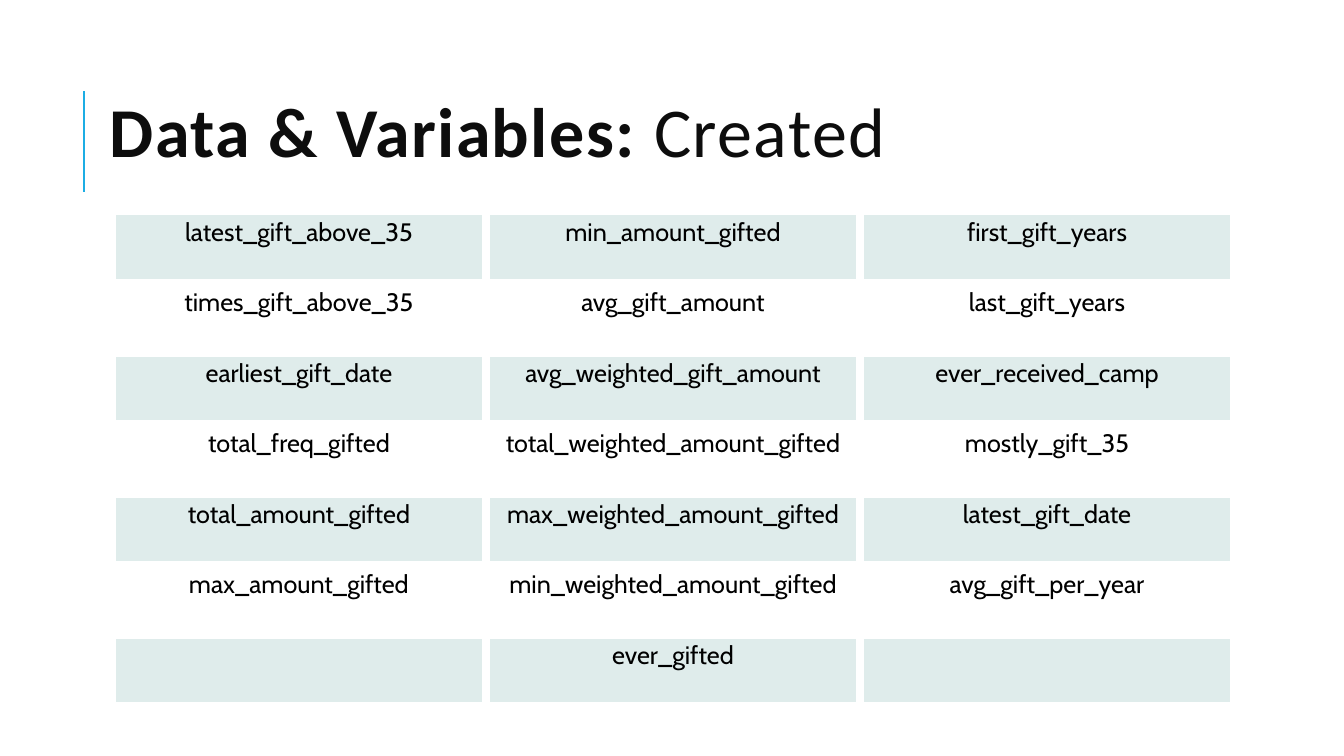
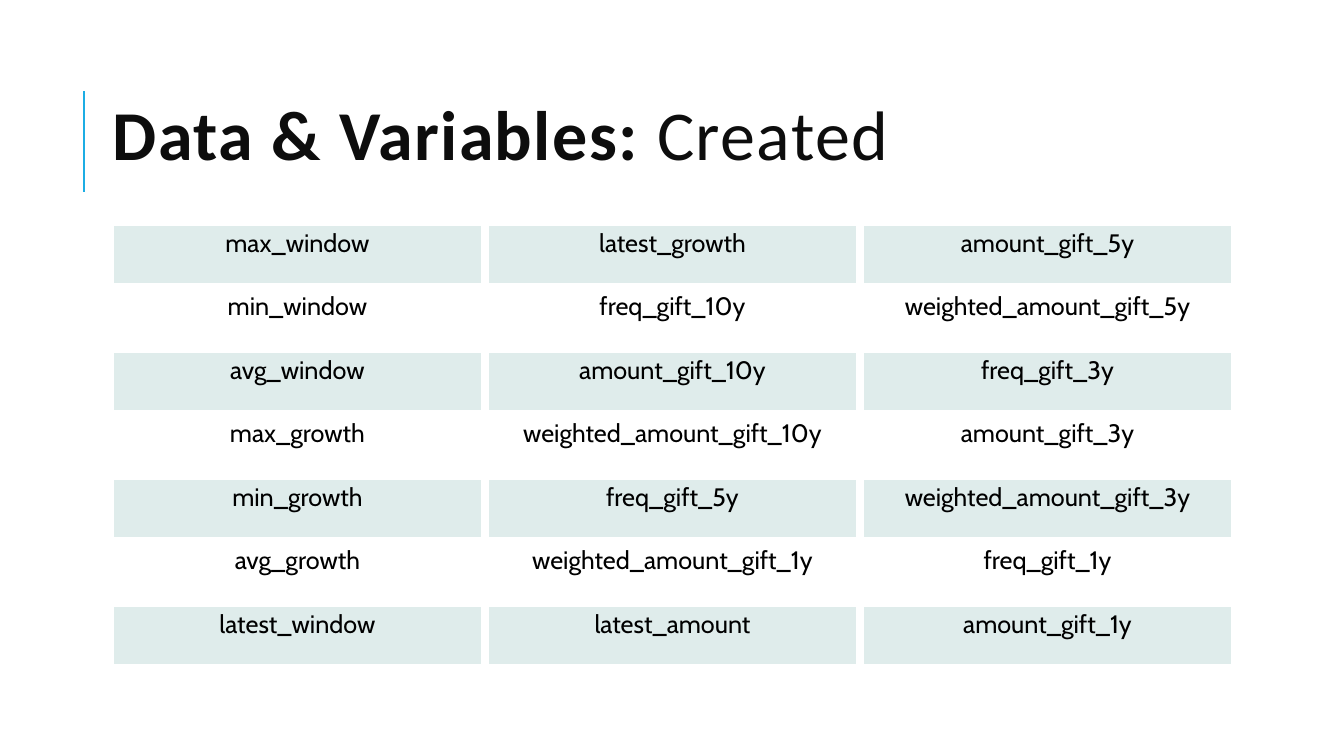
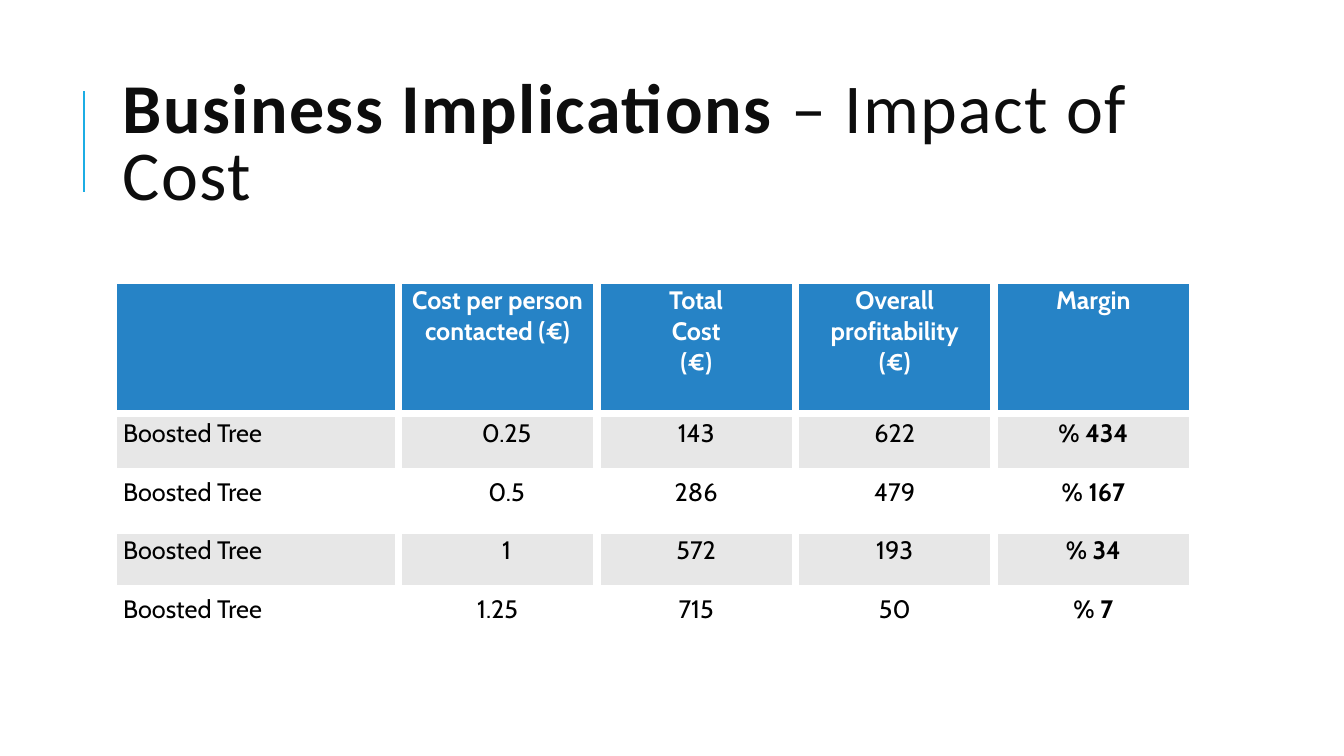
from lxml import etree
from pptx import Presentation
from pptx.dml.color import RGBColor
from pptx.enum import shapes, text
from pptx.oxml import ns
from pptx.util import Inches, Pt

INK = RGBColor(0x0D, 0x0D, 0x0D)
BLACK = RGBColor(0, 0, 0)
WHITE = RGBColor(0xFF, 0xFF, 0xFF)
CYAN = RGBColor(0x1C, 0xAD, 0xE4)
BLUE = RGBColor(0x26, 0x83, 0xC6)
TEAL = RGBColor(0x62, 0xA3, 0x9F)
GREY = RGBColor(0xE7, 0xE7, 0xE7)

deck = Presentation()
deck.slide_width, deck.slide_height = Inches(13.33), Inches(7.5)


def add_page(bold, plain, left, top):
    """Add a slide with the accent rule and a two-weight title."""
    page = deck.slides.add_slide(deck.slide_layouts[6])
    rule = page.shapes.add_connector(
        shapes.MSO_CONNECTOR.STRAIGHT,
        Inches(0.83), Inches(1.9), Inches(0.83), Inches(0.9))
    rule.line.color.rgb = CYAN
    rule.line.width = Pt(1.5)
    etree.SubElement(rule._element.spPr, ns.qn("a:effectLst"))

    box = page.shapes.add_textbox(
        Inches(left), Inches(top), Inches(10.63), Inches(1.64))
    frame = box.text_frame
    frame.word_wrap = True
    frame.vertical_anchor = text.MSO_ANCHOR.MIDDLE
    para = frame.paragraphs[0]
    para.line_spacing = 0.8
    for words, heavy in ((bold, True), (plain, False)):
        run = para.add_run()
        run.text = words
        run.font.name, run.font.size = "Calibri", Pt(50)
        run.font.bold = heavy
        run.font.color.rgb = INK
        run._r.get_or_add_rPr().set("spc", "100")
    return page


def add_grid(page, data, left, top, widths, heights, head):
    """Add a table with thick white borders; head marks a heading row."""
    grid = page.shapes.add_table(
        len(data), len(widths), Inches(left), Inches(top),
        Inches(sum(widths)), Inches(sum(heights))).table
    grid.first_row = head
    grid.horz_banding = False
    for col, width in zip(grid.columns, widths):
        col.width = Inches(width)
    for row, height in zip(grid.rows, heights):
        row.height = Inches(height)
    for r, line in enumerate(data):
        for c, words in enumerate(line):
            cell = grid.cell(r, c)
            top_row = head and r == 0
            cell.text_frame.text = words
            for para in cell.text_frame.paragraphs:
                if not head or c > 0:
                    para.alignment = text.PP_ALIGN.CENTER
                for run in para.runs:
                    run.font.name, run.font.size = "Cabin", Pt(18)
                    run.font.bold = head and (r == 0 or c == 4)
                    run.font.color.rgb = WHITE if top_row else BLACK
            props = cell._tc.get_or_add_tcPr()
            if head:
                cell.fill.solid()
                shade = GREY if r % 2 else WHITE
                cell.fill.fore_color.rgb = BLUE if top_row else shade
            elif r % 2:
                cell.fill.background()
            else:
                cell.fill.solid()
                cell.fill.fore_color.rgb = TEAL
                tint = props.find(".//" + ns.qn("a:srgbClr"))
                etree.SubElement(tint, ns.qn("a:alpha"), val="20000")
            for i, side in enumerate(("lnL", "lnR", "lnT", "lnB")):
                edge = etree.Element(ns.qn("a:" + side), w=str(Pt(6)))
                fill = etree.SubElement(edge, ns.qn("a:solidFill"))
                etree.SubElement(fill, ns.qn("a:srgbClr"), val=str(WHITE))
                props.insert(i, edge)
    return grid


gifts = (
    ("latest_gift_above_35", "min_amount_gifted", "first_gift_years"),
    ("times_gift_above_35", "avg_gift_amount", "last_gift_years"),
    ("earliest_gift_date", "avg_weighted_gift_amount", "ever_received_camp"),
    ("total_freq_gifted", "total_weighted_amount_gifted", "mostly_gift_35"),
    ("total_amount_gifted", "max_weighted_amount_gifted", "latest_gift_date"),
    ("max_amount_gifted", "min_weighted_amount_gifted", "avg_gift_per_year"),
    ("", "ever_gifted", ""),
)
page = add_page("Data & Variables: ", "Created", 0.99, 0.54)
add_grid(page, gifts, 1.11, 2.1, [3.71] * 3, [0.7] * 7, False)

trends = (
    ("max_window", "latest_growth", "amount_gift_5y"),
    ("min_window", "freq_gift_10y", "weighted_amount_gift_5y"),
    ("avg_window", "amount_gift_10y", "freq_gift_3y"),
    ("max_growth", "weighted_amount_gift_10y", "amount_gift_3y"),
    ("min_growth", "freq_gift_5y", "weighted_amount_gift_3y"),
    ("avg_growth", "weighted_amount_gift_1y", "freq_gift_1y"),
    ("latest_window", "latest_amount", "amount_gift_1y"),
)
page = add_page("Data & Variables: ", "Created", 1.02, 0.57)
add_grid(page, trends, 1.09, 2.21, [3.72] * 3, [0.63] * 7, False)

costs = (
    ("", "Cost per person contacted (€)", "Total\nCost\n(€)",
     "Overall profitability\n(€)", "Margin"),
    ("Boosted Tree", "0.25", "143", "622", "% 434"),
    ("Boosted Tree", "0.5", "286", "479", "% 167"),
    ("Boosted Tree", "1", "572", "193", "% 34"),
    ("Boosted Tree", "1.25", "715", "50", "% 7"),
)
page = add_page("Business Implications ", "– Impact of Cost", 1.12, 0.64)
grid = add_grid(page, costs, 1.12, 2.78, [2.83] + [1.97] * 4,
                [1.32] + [0.58] * 4, True)
for r in (1, 2, 3):
    grid.cell(r, 1).margin_left = Inches(0.28)

deck.save("out.pptx")
